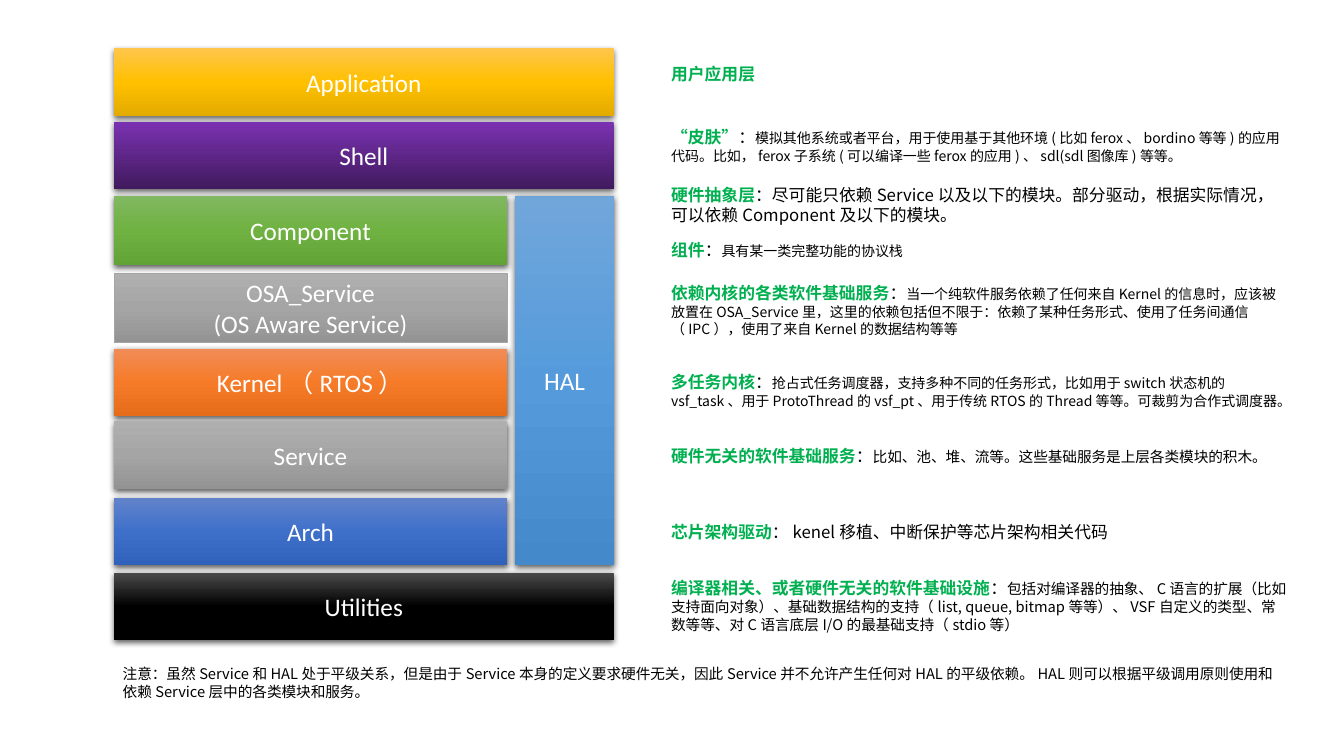
from lxml.etree import SubElement
from pptx import Presentation
from pptx.dml.color import RGBColor
from pptx.enum.shapes import MSO_SHAPE
from pptx.enum.text import MSO_ANCHOR, MSO_AUTO_SIZE, PP_ALIGN
from pptx.oxml.ns import qn
from pptx.util import Pt

SANS = "Noto Sans CJK SC"
LEFT, WIDE, SLIM, HIGH = 81.4, 357, 280.8, 48.2
GREY = ("AFAFAF", "A5A5A5", "939393")

# Layers: label, top, width, height, gradient
LAYERS = [
    ("Application", 34.6, WIDE, HIGH, ("FFC64B", "FFC000", "E3AB00")),
    ("Shell", 87.1, WIDE, HIGH, ("7B32B2", "401A5D")),
    ("Component", 139.7, SLIM, 49.7, ("81B861", "6FB242", "62A336")),
    ("Kernel（RTOS）", 249.1, SLIM, HIGH, ("F18C57", "F67B28", "E56C19")),
    ("Service", 301, SLIM, HIGH, GREY),
    ("Arch", 355.7, SLIM, HIGH, ("6183CB", "3E70CA", "3062BB")),
    ("Utilities", 409, WIDE, HIGH, ("4B4B4B", "000000", "000000")),
]

# Notes: top, height, term, body, body size
NOTES = [
    (41.8, 21.8, "用户应用层", "", 12),
    (87.1, 33.8, "“皮肤”",
     "模拟其他系统或者平台，用于使用基于其他环境(比如ferox、bordino等等)的应用代码。"
     "比如，ferox子系统(可以编译一些ferox的应用)、sdl(sdl图像库)等等。", 10),
    (128.2, 36, "硬件抽象层",
     "尽可能只依赖Service以及以下的模块。部分驱动，根据实际情况，"
     "可以依赖Component及以下的模块。", 12),
    (167.8, 21.8, "组件", "具有某一类完整功能的协议栈", 10),
    (198.7, 46, "依赖内核的各类软件基础服务",
     "当一个纯软件服务依赖了任何来自Kernel的信息时，应该被放置在OSA_Service里，"
     "这里的依赖包括但不限于：依赖了某种任务形式、使用了任务间通信（IPC），"
     "使用了来自Kernel的数据结构等等", 10),
    (262.1, 34.6, "多任务内核",
     "抢占式任务调度器，支持多种不同的任务形式，比如用于switch状态机的vsf_task、"
     "用于ProtoThread的vsf_pt、用于传统RTOS的Thread等等。可裁剪为合作式调度器。", 10),
    (314.6, 21.8, "硬件无关的软件基础服务",
     "比如、池、堆、流等。这些基础服务是上层各类模块的积木。", 10.5),
    (369.4, 21.8, "芯片架构驱动", "kenel移植、中断保护等芯片架构相关代码", 12),
    (409, 48.2, "编译器相关、或者硬件无关的软件基础设施",
     "包括对编译器的抽象、C语言的扩展（比如支持面向对象）、基础数据结构的支持"
     "（list, queue, bitmap等等）、VSF自定义的类型、常数等等、"
     "对C语言底层I/O的最基础支持（stdio等）", 10.5),
]

REMARK = ("注意：虽然Service和HAL处于平级关系，但是由于Service本身的定义要求硬件无关，"
          "因此Service并不允许产生任何对HAL的平级依赖。"
          "HAL则可以根据平级调用原则使用和依赖Service层中的各类模块和服务。")


def tint(target, code):
    target.rgb = RGBColor.from_string(code)


def add_run(para, text, size, code="000000", face=SANS, bold=False):
    run = para.add_run()
    run.text = text
    form = {"size": Pt(size), "name": face, "bold": bold}
    for key, value in form.items():
        setattr(run.font, key, value)
    tint(run.font.color, code)
    # East Asian glyphs need their own typeface entry
    SubElement(run.font._element, qn("a:ea"), typeface=SANS)


def add_fade(shape, codes):
    shape.fill.gradient()
    shape.fill.gradient_angle = 270
    stops = shape._element.spPr.find(".//" + qn("a:gsLst"))
    for stop in list(stops):
        stops.remove(stop)
    for i, code in enumerate(codes):
        place = str(100000 * i // (len(codes) - 1))
        stop = SubElement(stops, qn("a:gs"), pos=place)
        SubElement(stop, qn("a:srgbClr"), val=code)


def add_shade(shape):
    effect = shape._element.spPr.find(qn("a:effectLst"))
    outer = SubElement(effect, qn("a:outerShdw"), blurRad=str(Pt(4.5)),
                       dist=str(Pt(1.5)), dir="5400000", rotWithShape="0")
    black = SubElement(outer, qn("a:srgbClr"), val="000000")
    SubElement(black, qn("a:alpha"), val="63000")


def add_layer(slide, label, top, width, height, codes, left=LEFT, edge=None):
    box = slide.shapes.add_shape(
        MSO_SHAPE.RECTANGLE, Pt(left), Pt(top), Pt(width), Pt(height))
    add_fade(box, codes)
    box.shadow.inherit = False
    if edge:
        tint_line = box.line
        tint_line.fill.solid()
        tint(tint_line.color, edge)
        tint_line.width = Pt(0.5)
    else:
        box.line.fill.background()
        add_shade(box)
    frame = box.text_frame
    frame.vertical_anchor = MSO_ANCHOR.MIDDLE
    for i, line in enumerate(label.split("\n")):
        para = frame.add_paragraph() if i else frame.paragraphs[0]
        para.alignment = PP_ALIGN.CENTER
        add_run(para, line, 18, "FFFFFF", "Calibri")


def add_text(slide, left, top, width, height):
    box = slide.shapes.add_textbox(Pt(left), Pt(top), Pt(width), Pt(height))
    form = {"word_wrap": True, "auto_size": MSO_AUTO_SIZE.SHAPE_TO_FIT_TEXT}
    for key, value in form.items():
        setattr(box.text_frame, key, value)
    return box.text_frame.paragraphs[0]


def add_note(slide, top, height, term, body, size):
    para = add_text(slide, 472.3, top, 454.3, height)
    add_run(para, term, 12, "00B050", bold=True)
    if body:
        add_run(para, "：", 12)
        add_run(para, body, size)


def main():
    deck = Presentation()
    deck.slide_width, deck.slide_height = Pt(960), Pt(540)
    slide = deck.slides.add_slide(deck.slide_layouts[6])

    # Stack of layers, with HAL beside the slim ones
    add_layer(slide, "HAL", 139.7, 70.6, 264.2,
              ("71A6DB", "559BDB", "448ACA"), left=367.9)
    for layer in LAYERS:
        add_layer(slide, *layer)
    add_layer(slide, "OSA_Service\n(OS Aware Service)", 195.1, SLIM, 49.7,
              GREY, edge="A5A5A5")

    # Explanations and closing remark
    for note in NOTES:
        add_note(slide, *note)
    add_run(add_text(slide, 80.6, 471.6, 840.2, 32.4), REMARK, 10.5)

    deck.save("out.pptx")


main()
